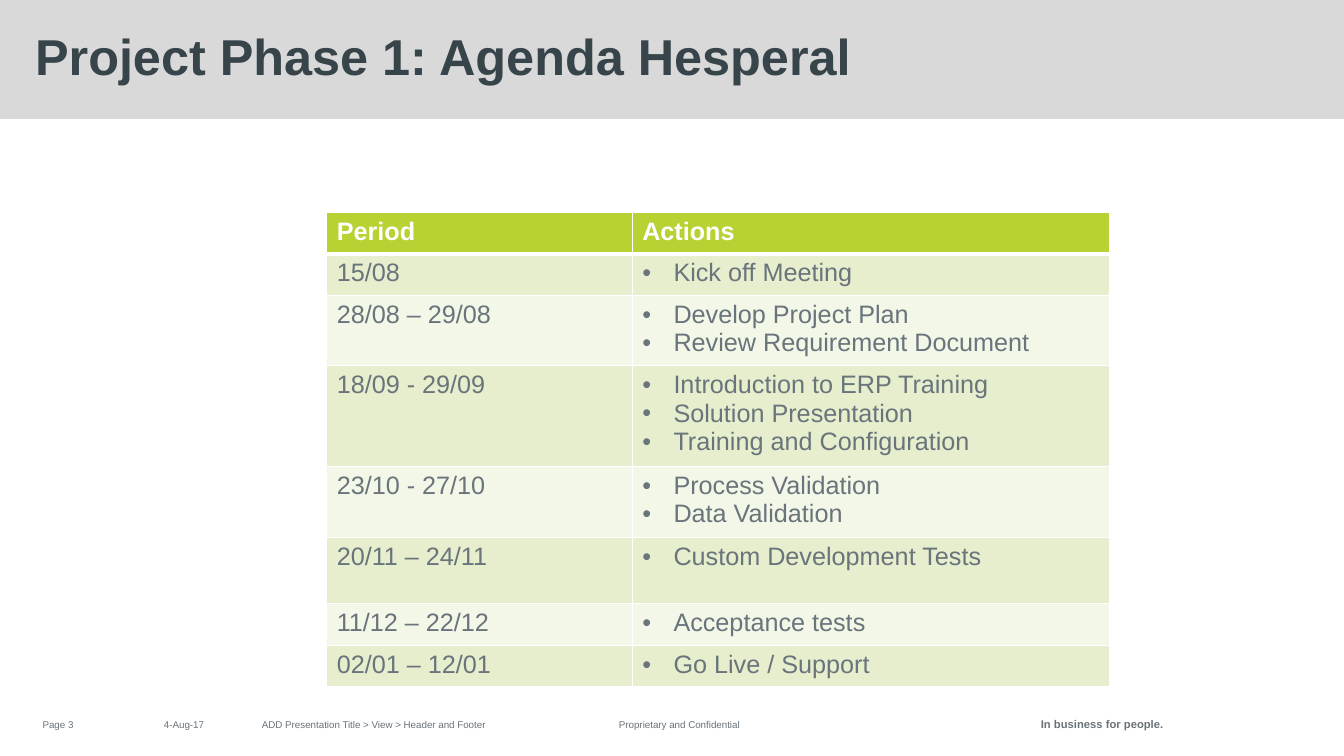
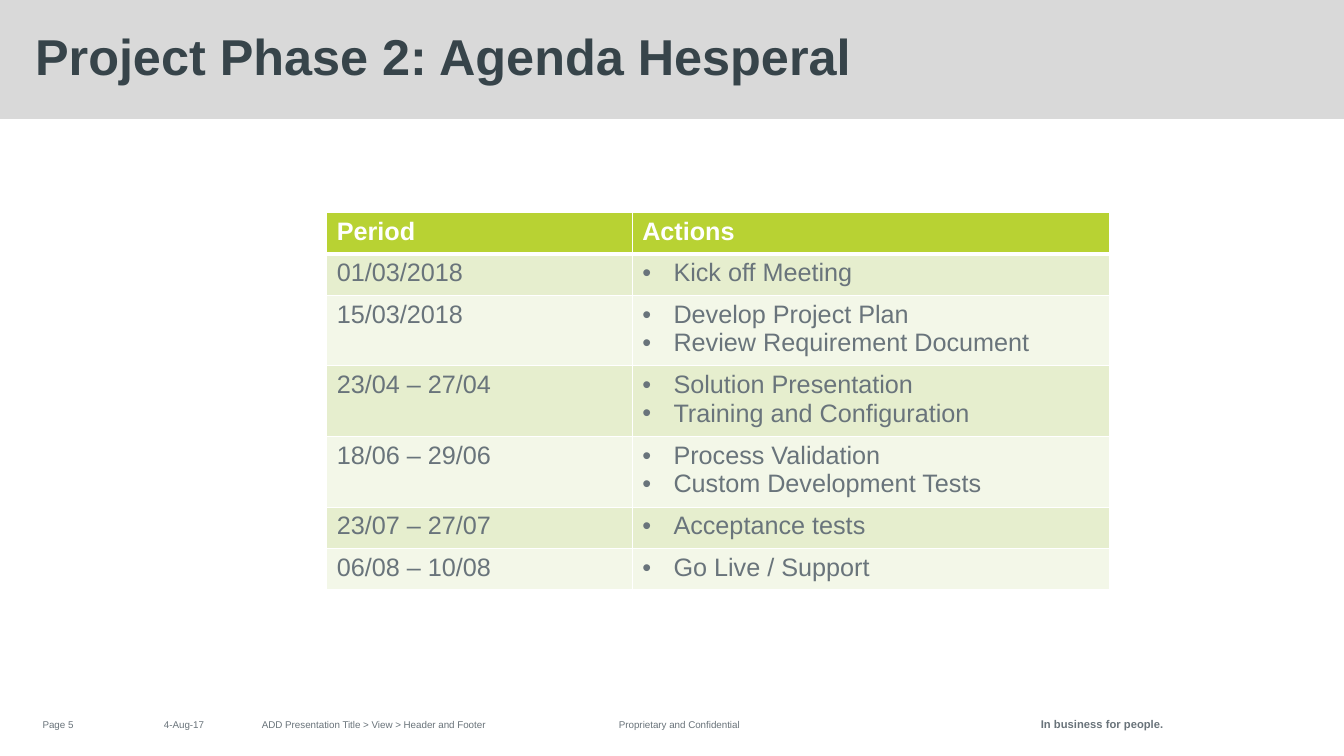
from lxml import etree
from pptx import Presentation
from pptx.dml.color import RGBColor
from pptx.enum.shapes import MSO_SHAPE
from pptx.enum.text import MSO_ANCHOR, PP_ALIGN
from pptx.oxml.ns import qn
from pptx.util import Inches, Pt

LEFT, CENTER, RIGHT = PP_ALIGN.LEFT, PP_ALIGN.CENTER, PP_ALIGN.RIGHT
TOP, MIDDLE = MSO_ANCHOR.TOP, MSO_ANCHOR.MIDDLE
RECTANGLE = MSO_SHAPE.RECTANGLE

# Content: title, page number, rows of period and actions
AGENDAS = [
    ("Project Phase 1: Agenda Hesperal", 3, [
        ("15/08", ["Kick off Meeting"]),
        ("28/08 – 29/08", ["Develop Project Plan", "Review Requirement Document"]),
        ("18/09 - 29/09", ["Introduction to ERP Training", "Solution Presentation",
                           "Training and Configuration"]),
        ("23/10 - 27/10", ["Process Validation", "Data Validation"]),
        ("20/11 – 24/11", ["Custom Development Tests"]),
        ("11/12 – 22/12", ["Acceptance tests"]),
        ("02/01 – 12/01", ["Go Live / Support"]),
    ]),
    ("Project Phase 2: Agenda Hesperal", 5, [
        ("01/03/2018", ["Kick off Meeting"]),
        ("15/03/2018", ["Develop Project Plan", "Review Requirement Document"]),
        ("23/04 – 27/04", ["Solution Presentation", "Training and Configuration"]),
        ("18/06 – 29/06", ["Process Validation", "Custom Development Tests"]),
        ("23/07 – 27/07", ["Acceptance tests"]),
        ("06/08 – 10/08", ["Go Live / Support"]),
    ]),
]
HEADINGS = ("Period", ["Actions"])
TALL_PERIODS = {"20/11 – 24/11": 2}  # rows taller than their text, in lines

# Footer: text, left, top, width, height, format
FOOTERS = [
    ("Page {number}", 0, 7.08, 1.15, 0.22, dict(align=CENTER)),
    ("4-Aug-17", 1.15, 7.08, 1.35, 0.22, dict(align=CENTER, anchor=MIDDLE)),
    ("ADD Presentation Title > View > Header and Footer",
     2.5, 7.08, 3.53, 0.22, dict(anchor=MIDDLE)),
    ("Proprietary and Confidential", 6.04, 7.08, 2.21, 0.22, {}),
    ("In business for people.", 9.28, 7.07, 2.26, 0.24,
     dict(size=8, bold=True, align=RIGHT, right_inset=0)),
]

# Shared style
FONT = "Arial"
WHITE, BAND, TITLE, FOOTER, BODY = "FFFFFF", "D9D9D9", "37444A", "69737A", "69747B"
HEADER_FILL, ROW_FILLS = "B8D233", ("E6EECE", "F3F7E8")
SLIDE_WIDTH, SLIDE_HEIGHT, BAND_HEIGHT = 13.33, 7.5, 1.18
TABLE_LEFT, TABLE_TOP, COLUMN_WIDTHS = 3.24, 2.11, (3.03, 4.74)
ROW_HEIGHTS = {1: 0.41, 2: 0.66, 3: 0.94}  # by number of text lines
BULLET_INDENT = 0.31


def color(hex_code):
    return RGBColor.from_string(hex_code)


def write(frame, lines, size=18, hex_code=BODY, bold=False, align=LEFT,
          spacing=None, bullet=False):
    for index, line in enumerate(lines):
        para = frame.add_paragraph() if index else frame.paragraphs[0]
        if bullet:
            props = para._p.get_or_add_pPr()
            props.set("marL", str(Inches(BULLET_INDENT)))
            props.set("indent", str(-Inches(BULLET_INDENT)))
            etree.SubElement(props, qn("a:buFont"), typeface=FONT)
            etree.SubElement(props, qn("a:buChar"), char="•")
        para.alignment = align
        if spacing:
            para.line_spacing = spacing
        span = para.add_run()
        span.text = line
        span.font.name, span.font.size, span.font.bold = FONT, Pt(size), bold
        span.font.color.rgb = color(hex_code)


def add_text(page, text, left, top, width, height, anchor=TOP,
             right_inset=0.1, **style):
    box = page.shapes.add_textbox(*map(Inches, (left, top, width, height)))
    frame = box.text_frame
    frame.word_wrap = True
    frame.vertical_anchor = anchor
    frame.margin_right = Inches(right_inset)
    write(frame, [text], **style)


def style_cell(cell, fill, **border_widths):
    # Borders come before the fill in the cell properties
    props = cell._tc.get_or_add_tcPr()
    for side in ("L", "R", "T", "B"):
        line = etree.SubElement(props, qn(f"a:ln{side}"),
                                w=str(Pt(border_widths.get(side, 1))))
        solid = etree.SubElement(line, qn("a:solidFill"))
        etree.SubElement(solid, qn("a:srgbClr"), val=WHITE)
    cell.fill.solid()
    cell.fill.fore_color.rgb = color(fill)


def add_frame(page, title, number):
    # Band, title and footer
    band = page.shapes.add_shape(RECTANGLE, 0, 0, Inches(SLIDE_WIDTH), Inches(BAND_HEIGHT))
    band.shadow.inherit = False
    band.fill.solid()
    band.fill.fore_color.rgb = color(BAND)
    band.line.fill.background()
    add_text(page, title, 0.25, 0, 12.84, 1.17, anchor=MIDDLE,
             size=36, hex_code=TITLE, bold=True, spacing=0.9)
    for text, left, top, width, height, style in FOOTERS:
        add_text(page, text.format(number=number), left, top, width, height,
                 **{"size": 7, "hex_code": FOOTER, **style})


def add_agenda(page, agenda):
    rows = [HEADINGS, *agenda]
    heights = [ROW_HEIGHTS[TALL_PERIODS.get(period, len(actions))]
               for period, actions in rows]
    table = page.shapes.add_table(
        len(rows), len(COLUMN_WIDTHS), Inches(TABLE_LEFT), Inches(TABLE_TOP),
        Inches(sum(COLUMN_WIDTHS)), Inches(sum(heights))).table
    for column, width in zip(table.columns, COLUMN_WIDTHS):
        column.width = Inches(width)
    for index, (period, actions) in enumerate(rows):
        table.rows[index].height = Inches(heights[index])
        is_header = index == 0
        fill = HEADER_FILL if is_header else ROW_FILLS[(index - 1) % 2]
        borders = {0: {"B": 3}, 1: {"T": 3}}.get(index, {})
        for column, lines in enumerate(([period], actions)):
            cell = table.cell(index, column)
            style_cell(cell, fill, **borders)
            write(cell.text_frame, lines, hex_code=WHITE if is_header else BODY,
                  bold=is_header, bullet=column == 1 and not is_header)


def main():
    deck = Presentation()
    deck.slide_width, deck.slide_height = Inches(SLIDE_WIDTH), Inches(SLIDE_HEIGHT)
    blank = deck.slide_layouts[6]
    for title, number, agenda in AGENDAS:
        page = deck.slides.add_slide(blank)
        add_frame(page, title, number)
        add_agenda(page, agenda)
    deck.save("out.pptx")


if __name__ == "__main__":
    main()
